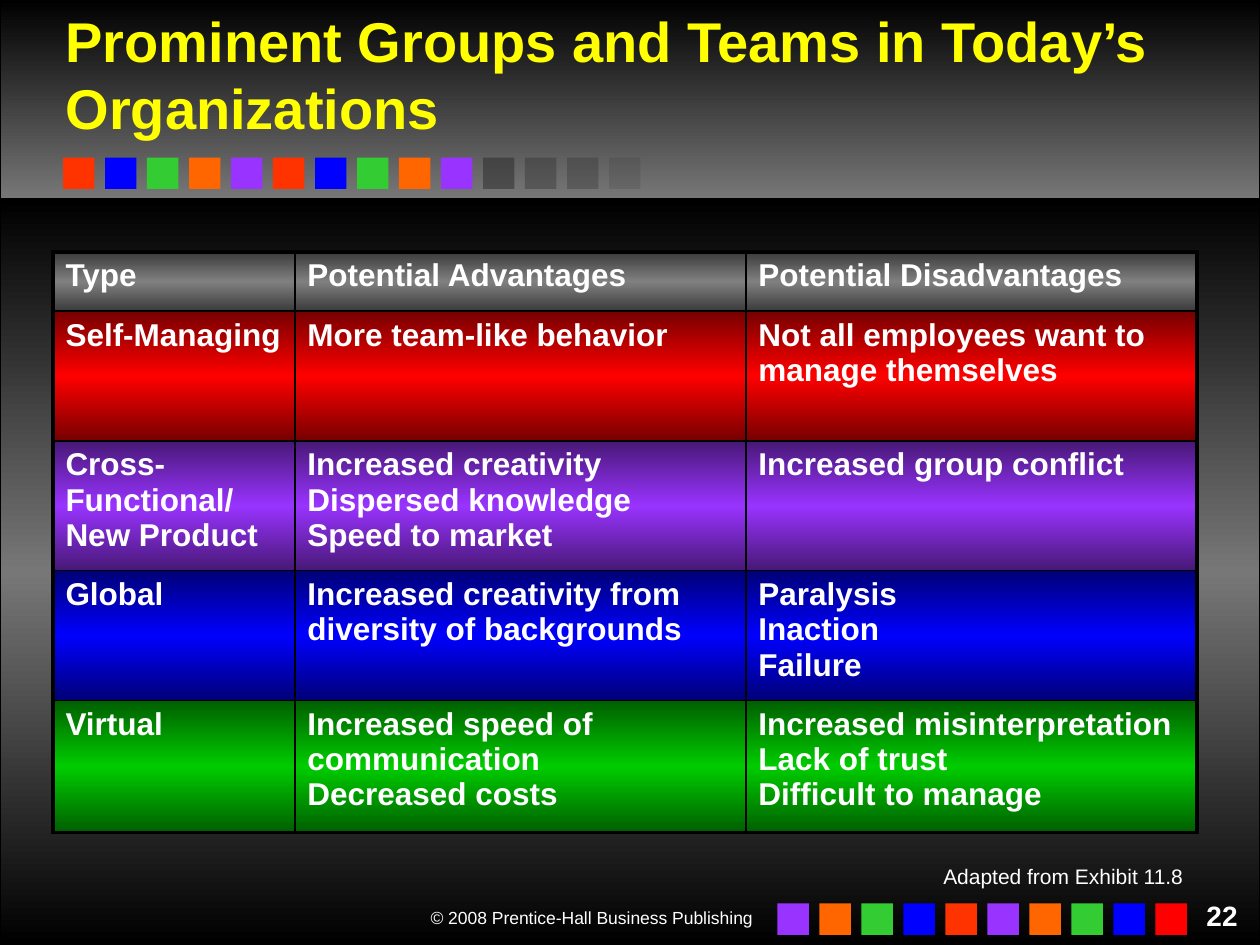
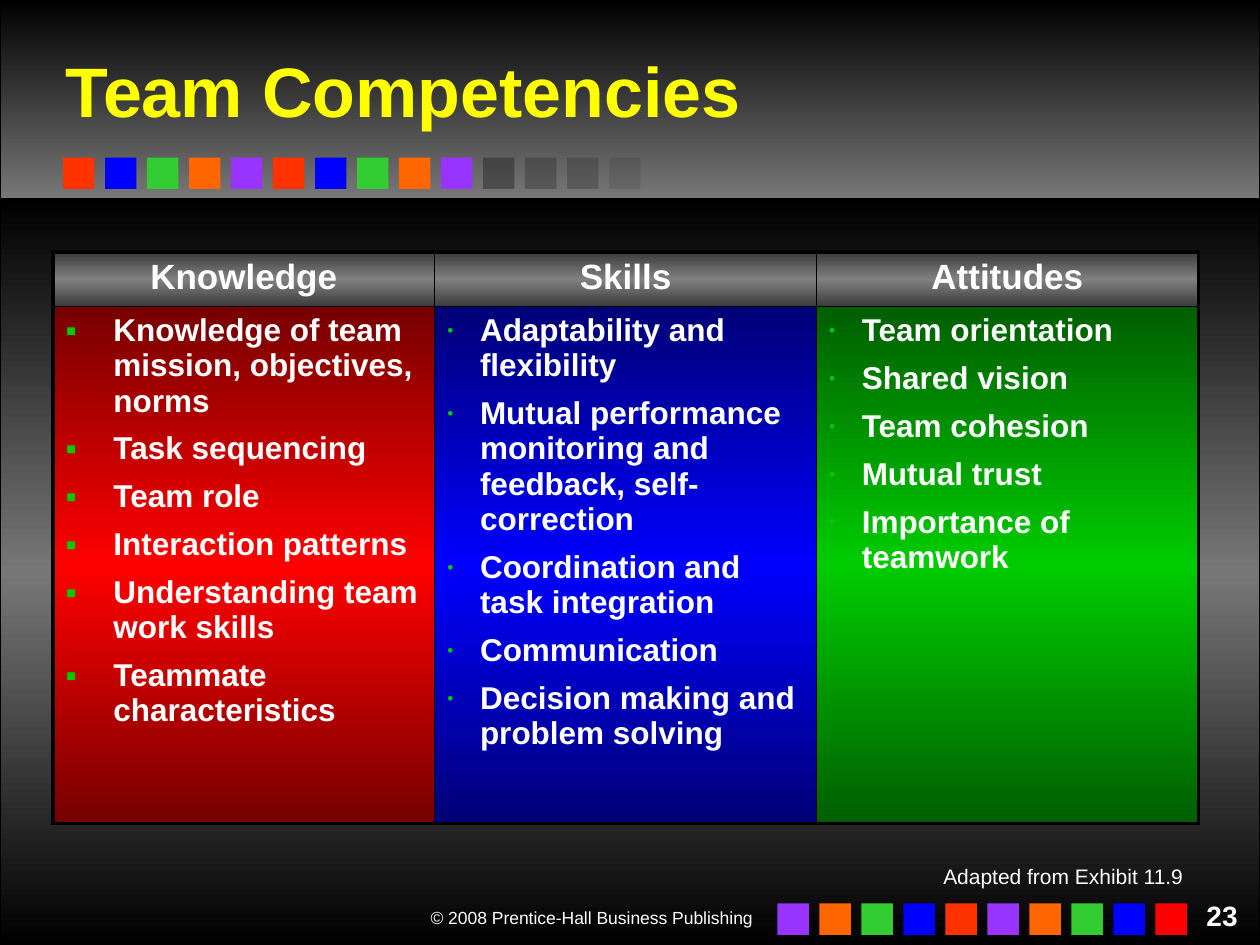
import pptx
import pptx.util
import pptx.dml.color
import pptx.enum.shapes
import pptx.enum.text
import pptx.oxml
import pptx.oxml.ns

Inches, Pt = pptx.util.Inches, pptx.util.Pt
RGBColor = pptx.dml.color.RGBColor
PP_ALIGN = pptx.enum.text.PP_ALIGN
MSO_ANCHOR = pptx.enum.text.MSO_ANCHOR
qn = pptx.oxml.ns.qn
NS = 'xmlns:a="http://schemas.openxmlformats.org/drawingml/2006/main"'

# Colours and font
FONT = "Arial"
BLACK = RGBColor(0x00, 0x00, 0x00)
WHITE = RGBColor(0xFF, 0xFF, 0xFF)
YELLOW = RGBColor(0xFF, 0xFF, 0x00)
GRAY = RGBColor(0x77, 0x77, 0x77)
CHARCOAL = RGBColor(0x29, 0x29, 0x29)
BULLET = RGBColor(0x00, 0xCC, 0x00)
PURE_RED = RGBColor(0xFF, 0x00, 0x00)
PALETTE = [RGBColor(0xFF, 0x33, 0x00), RGBColor(0x00, 0x00, 0xFF),
           RGBColor(0x33, 0xCC, 0x33), RGBColor(0xFF, 0x66, 0x00),
           RGBColor(0x99, 0x33, 0xFF)]
FADES = [50, 35, 30, 15]

# Cell gradients: edge colour, middle colour
HEAD = RGBColor(0x3B, 0x3B, 0x3B), RGBColor(0x80, 0x80, 0x80)
RED = RGBColor(0x76, 0x00, 0x00), PURE_RED
PURPLE = RGBColor(0x47, 0x18, 0x76), RGBColor(0x99, 0x33, 0xFF)
BLUE = RGBColor(0x00, 0x00, 0x76), RGBColor(0x00, 0x00, 0xFF)
GREEN = RGBColor(0x00, 0x5E, 0x00), RGBColor(0x00, 0xCC, 0x00)

# Content
COPYRIGHT = "© 2008 Prentice-Hall Business Publishing"

GROUPS = {
    "title": "Prominent Groups and Teams in Today’s Organizations",
    "title_top": 0, "title_size": 32,
    "number": "22", "credit": "Adapted from Exhibit 11.8",
    "cols": [1.92, 3.58, 3.58], "rows": [0.47, 1.03, 1.03, 1.03, 1.05],
    "header": ["Type", "Potential Advantages", "Potential Disadvantages"],
    "header_size": 18, "header_align": PP_ALIGN.LEFT,
    "body": [
        [["Self-Managing"], ["More team-like behavior"],
         ["Not all employees want to", "manage themselves"]],
        [["Cross-Functional/", "New Product"],
         ["Increased creativity", "Dispersed knowledge", "Speed to market"],
         ["Increased group conflict"]],
        [["Global"], ["Increased creativity from", "diversity of backgrounds"],
         ["Paralysis", "Inaction", "Failure"]],
        [["Virtual"], ["Increased speed of communication", "Decreased costs"],
         ["Increased misinterpretation", "Lack of trust", "Difficult to manage"]],
    ],
    "fills": [[RED] * 3, [PURPLE] * 3, [BLUE] * 3, [GREEN] * 3],
    "bullets": [None] * 3,
}

# Bullets: character, indent in inches, size in percent
SQUARE, DOT = ("▪", 0.38, 100), ("•", 0.26, 55)

COMPETENCIES = {
    "title": "Team Competencies",
    "title_top": 0.25, "title_size": 40,
    "number": "23", "credit": "Adapted from Exhibit 11.9",
    "cols": [3.03] * 3, "rows": [0.42, 4.1],
    "header": ["Knowledge", "Skills", "Attitudes"],
    "header_size": 20, "header_align": PP_ALIGN.CENTER,
    "body": [[
        ["Knowledge of team mission, objectives, norms", "Task sequencing",
         "Team role", "Interaction patterns", "Understanding team work skills",
         "Teammate characteristics"],
        ["Adaptability and flexibility",
         "Mutual performance monitoring and feedback, self-correction",
         "Coordination and task integration", "Communication",
         "Decision making and problem solving"],
        ["Team orientation", "Shared vision", "Team cohesion", "Mutual trust",
         "Importance of teamwork"],
    ]],
    "fills": [[RED, BLUE, GREEN]],
    "bullets": [SQUARE, DOT, DOT],
}


def set_gradient(fill, holder, colors):
    """Vertical gradient with evenly spaced stops."""
    fill.gradient()
    fill.gradient_angle = 270
    stops = holder.find(".//" + qn("a:gsLst"))
    for old in list(stops):
        stops.remove(old)
    for i, color in enumerate(colors):
        pos = round(100000 * i / (len(colors) - 1))
        stops.append(pptx.oxml.parse_xml(
            f'<a:gs {NS} pos="{pos}"><a:srgbClr val="{color}"/></a:gs>'))


def style(p, size, color=WHITE, bold=False, align=PP_ALIGN.LEFT):
    p.alignment = align
    for r in p.runs:
        f = r.font
        f.name, f.size, f.bold = FONT, Pt(size), bold
        f.color.rgb = color


def add_rect(slide, x, y, w, h):
    sp = slide.shapes.add_shape(pptx.enum.shapes.MSO_SHAPE.RECTANGLE,
                                Inches(x), Inches(y), Inches(w), Inches(h))
    sp.shadow.inherit = False
    return sp


def add_band(slide, y, h, colors):
    sp = add_rect(slide, 0, y, 10, h)
    set_gradient(sp.fill, sp._element.spPr, colors)
    sp.line.color.rgb = BLACK
    sp.line.width = Pt(0.75)


def add_squares(slide, x, y, colors):
    for i, (color, alpha) in enumerate(colors):
        sp = add_rect(slide, x + i / 3, y, 0.25, 0.25)
        sp.fill.solid()
        sp.fill.fore_color.rgb = color
        sp.line.fill.background()
        if alpha < 100:
            sp._element.spPr.find(".//" + qn("a:srgbClr")).append(
                pptx.oxml.parse_xml(f'<a:alpha {NS} val="{alpha * 1000}"/>'))


def add_label(slide, text, x, y, w, h, size, bold=False):
    sp = slide.shapes.add_textbox(Inches(x), Inches(y), Inches(w), Inches(h))
    tf = sp.text_frame
    tf.word_wrap = True
    tf.text = text
    style(tf.paragraphs[0], size, bold=bold, align=PP_ALIGN.RIGHT)
    return tf.paragraphs[0]


def add_shared_parts(slide, master):
    """Draw bands, squares and copyright, then hand them to the master."""
    own = list(slide.shapes._spTree)
    add_band(slide, 0, 1.58, [BLACK, GRAY])
    add_band(slide, 1.58, 5.92, [BLACK, GRAY, BLACK])
    add_label(slide, COPYRIGHT, 2.92, 7.15, 3.15, 0.27, 10)
    add_squares(slide, 0.5, 1.25, [(c, 100) for c in PALETTE * 2]
                + [(CHARCOAL, a) for a in FADES])
    footer = (PALETTE[::-1] * 2)[:-1] + [PURE_RED]
    add_squares(slide, 6.17, 7.17, [(c, 100) for c in footer])
    shared = [el for el in slide.shapes._spTree if el not in own]
    for i, el in enumerate(shared):
        el.nvSpPr.cNvPr.id = 100 + i
        master.shapes._spTree.append(el)


def add_title(slide, text, top, size):
    sp = slide.shapes.title
    sp.left, sp.top = Inches(0.42), Inches(top)
    sp.width, sp.height = Inches(9.42), Inches(1.17 - top)
    tf = sp.text_frame
    tf.text = text
    tf.word_wrap = True
    tf.auto_size = pptx.enum.text.MSO_AUTO_SIZE.NONE
    tf.vertical_anchor = MSO_ANCHOR.MIDDLE
    p = tf.paragraphs[0]
    style(p, size, YELLOW, bold=True)
    fill = p.runs[0]._r.get_or_add_rPr().find(qn("a:solidFill"))
    fill.addnext(pptx.oxml.parse_xml(
        f'<a:effectLst {NS}><a:outerShdw dist="35921" dir="2700000">'
        f'<a:srgbClr val="{BLACK}"/></a:outerShdw></a:effectLst>'))


def set_borders(cell, outer):
    """Heavy line on the sides named in outer, thin line elsewhere."""
    for i, side in enumerate("LRTB"):
        width = Pt(2.25 if side in outer else 1)
        cell._tc.get_or_add_tcPr().insert(i, pptx.oxml.parse_xml(
            f'<a:ln{side} {NS} w="{width}"><a:solidFill><a:srgbClr val="{BLACK}"/>'
            f'</a:solidFill></a:ln{side}>'))


def add_bullet(p, bullet):
    char, indent, size = bullet
    pPr = p._p.get_or_add_pPr()
    pPr.set("marL", str(Inches(indent)))
    pPr.set("indent", str(-Inches(indent)))
    for xml in (f'<a:buClr {NS}><a:srgbClr val="{BULLET}"/></a:buClr>',
                f'<a:buSzPct {NS} val="{size * 1000}"/>',
                f'<a:buFont {NS} typeface="{FONT}"/>',
                f'<a:buChar {NS} char="{char}"/>'):
        pPr.append(pptx.oxml.parse_xml(xml))


def fill_cell(cell, lines, size, align, bullet, colors):
    tf = cell.text_frame
    tf.text = "\n".join(lines)
    for i, p in enumerate(tf.paragraphs):
        if bullet:
            add_bullet(p, bullet)
            if i:
                p.space_before = Pt(0.4 * size)
        style(p, size, bold=True, align=align)
    edge, middle = colors
    set_gradient(cell.fill, cell._tc.get_or_add_tcPr(), [edge, middle, edge])


def add_grid(slide, data):
    cols, rows = data["cols"], data["rows"]
    last_row, last_col = len(rows) - 1, len(cols) - 1
    table = slide.shapes.add_table(
        len(rows), len(cols), Inches(0.42), Inches(2),
        Inches(sum(cols)), Inches(sum(rows))).table
    table.first_row = table.horz_banding = False
    for col, w in zip(table.columns, cols):
        col.width = Inches(w)
    for r, h in enumerate(rows):
        table.rows[r].height = Inches(h)
        for c in range(len(cols)):
            cell = table.cell(r, c)
            if r == 0:
                fill_cell(cell, [data["header"][c]], data["header_size"],
                          data["header_align"], None, HEAD)
            else:
                fill_cell(cell, data["body"][r - 1][c], 18, PP_ALIGN.LEFT,
                          data["bullets"][c], data["fills"][r - 1][c])
            edges = {"L": c == 0, "R": c == last_col,
                     "T": r == 0, "B": r == last_row}
            set_borders(cell, [side for side, on in edges.items() if on])


def main():
    prs = pptx.Presentation()
    prs.slide_width, prs.slide_height = Inches(10), Inches(7.5)
    for i, data in enumerate([GROUPS, COMPETENCIES]):
        slide = prs.slides.add_slide(prs.slide_layouts[5])
        if i == 0:
            add_shared_parts(slide, prs.slide_master)
        add_title(slide, data["title"], data["title_top"], data["title_size"])
        add_label(slide, data["number"], 9.42, 7.08, 0.5, 0.17, 16, bold=True)
        p = add_label(slide, data["credit"], 7.08, 6.83, 2.41, 0.28, 12)
        p.line_spacing = 0.9
        add_grid(slide, data)
    prs.save("out.pptx")


if __name__ == "__main__":
    main()
